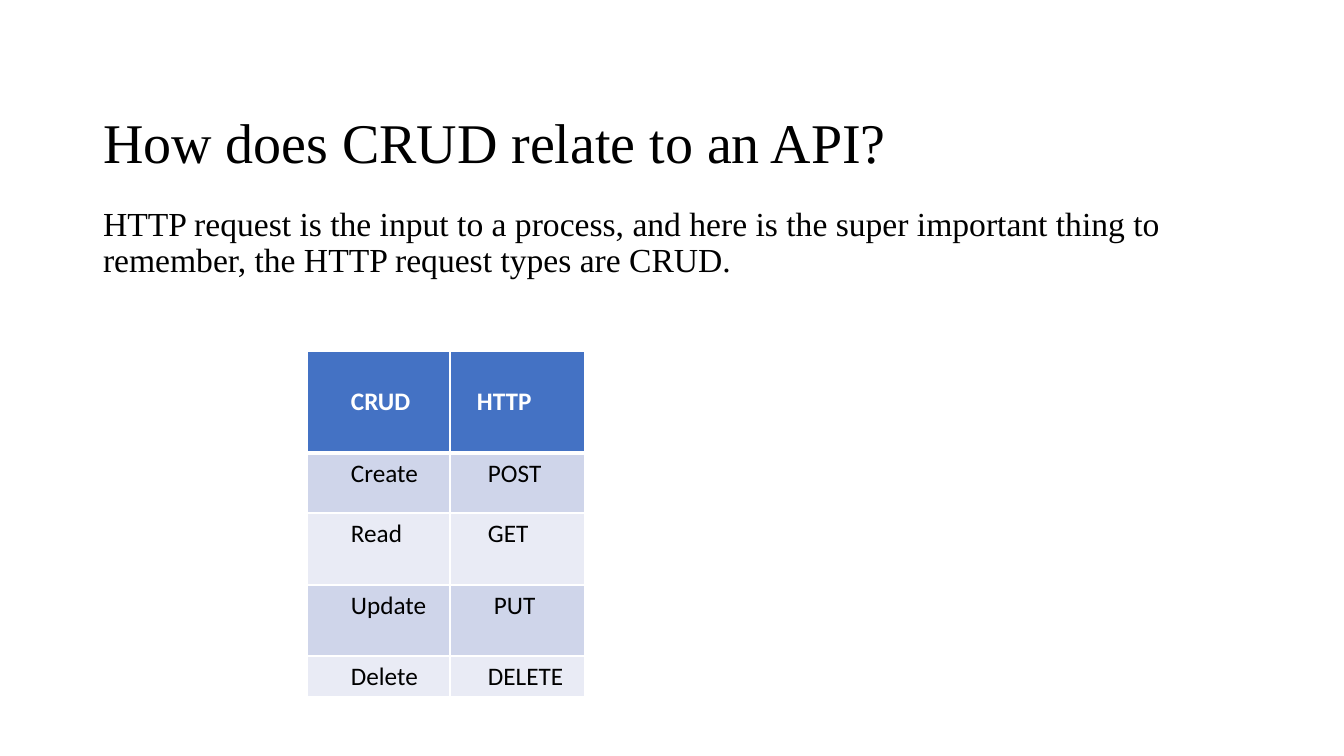
from dataclasses import dataclass

from lxml.etree import SubElement
from pptx import Presentation
from pptx.dml.color import RGBColor
from pptx.enum.text import MSO_ANCHOR as Anchor, MSO_AUTO_SIZE as AutoSize, PP_ALIGN as Align
from pptx.oxml.ns import qn
from pptx.util import Emu, Pt

EMU_PER_PX = 914400 / 100.8
COLORS = {
    "text": "000000",
    "white": "FFFFFF",
    "header": "4472C4",
    "band_dark": "CFD5EA",
    "band_light": "E9EBF5",
}
COLUMN_WIDTHS = (143, 135)


@dataclass(frozen=True)
class MethodRow:
    """One row that pairs a CRUD operation with its HTTP method."""
    operation: str
    method: str
    height: int
    method_indent: int = 38
    is_header: bool = False


METHOD_ROWS = (
    MethodRow("CRUD", "HTTP", 102, method_indent=27, is_header=True),
    MethodRow("Create", "POST", 60),
    MethodRow("Read", "GET", 72),
    MethodRow("Update", "PUT", 71, method_indent=44),
    MethodRow("Delete", "DELETE", 41),
)
OPERATION_INDENT = 44


def px(length: float) -> Emu:
    """Turn pixels into EMU."""
    return Emu(round(length * EMU_PER_PX))


def color(key: str) -> RGBColor:
    """Look up a named colour."""
    return RGBColor.from_string(COLORS[key])


def write(frame, text: str, *, size: float, font: str = "Calibri", fill: str = "text",
          bold: bool = False, line_spacing: float = 1.0, before: float = 0) -> None:
    """Write one left-aligned paragraph in the given format."""
    frame.text = text
    paragraph = frame.paragraphs[0]
    paragraph.alignment = Align.LEFT
    paragraph.line_spacing = line_spacing
    paragraph.space_before = Pt(before)
    run_font = paragraph.runs[0].font
    run_font.name, run_font.size, run_font.bold = font, Pt(size), bold
    run_font.color.rgb = color(fill)


def place(placeholder, left: int, top: int, width: int, height: int, anchor: Anchor) -> None:
    """Move a placeholder and fix its text anchor."""
    placeholder.left, placeholder.top = px(left), px(top)
    placeholder.width, placeholder.height = px(width), px(height)
    frame = placeholder.text_frame
    frame.word_wrap, frame.auto_size = True, AutoSize.NONE
    frame.vertical_anchor = anchor


def remove_bullet(paragraph) -> None:
    """Drop the bullet and hanging indent of a paragraph."""
    properties = paragraph._p.get_or_add_pPr()
    properties.set("marL", "0")
    properties.set("indent", "0")
    SubElement(properties, qn("a:buNone"))


def add_borders(cell, widths: dict[str, float]) -> None:
    """Give a cell white borders, in points by side."""
    properties = cell._tc.get_or_add_tcPr()
    for side, width in widths.items():
        line = SubElement(properties, qn(f"a:ln{side}"), w=str(Pt(width)))
        line_fill = SubElement(line, qn("a:solidFill"))
        SubElement(line_fill, qn("a:srgbClr"), val=COLORS["white"])


def fill_row(table, index: int, row: MethodRow) -> None:
    """Write and format one row of the table."""
    table.rows[index].height = px(row.height)
    band = "header" if row.is_header else ("band_dark" if index % 2 else "band_light")
    borders = {"L": 1, "R": 1, "T": 3 if index == 1 else 1, "B": 3 if row.is_header else 1}
    entries = ((row.operation, OPERATION_INDENT), (row.method, row.method_indent))
    for column, (text, indent) in enumerate(entries):
        cell = table.cell(index, column)
        add_borders(cell, borders)
        cell.fill.solid()
        cell.fill.fore_color.rgb = color(band)
        cell.margin_left = px(indent)
        cell.vertical_anchor = Anchor.MIDDLE if row.is_header else Anchor.TOP
        write(cell.text_frame, text, size=18, bold=row.is_header,
              fill="white" if row.is_header else "text")


def add_method_table(slide, left: int, top: int) -> None:
    """Add the table of CRUD operations and HTTP methods."""
    height = sum(row.height for row in METHOD_ROWS)
    table = slide.shapes.add_table(len(METHOD_ROWS), len(COLUMN_WIDTHS), px(left), px(top),
                                   px(sum(COLUMN_WIDTHS)), px(height)).table
    for column, width in zip(table.columns, COLUMN_WIDTHS):
        column.width = px(width)
    for index, row in enumerate(METHOD_ROWS):
        fill_row(table, index, row)


def main() -> None:
    """Build and save the slide."""
    deck = Presentation()
    deck.slide_width, deck.slide_height = px(1344), px(756)
    slide = deck.slides.add_slide(deck.slide_layouts[1])

    title, explanation = slide.placeholders
    place(title, 93, 103, 1159, 84, Anchor.MIDDLE)
    write(title.text_frame, "How does CRUD relate to an API?",
          size=40, font="Times New Roman", line_spacing=0.9)

    place(explanation, 93, 202, 1159, 480, Anchor.TOP)
    write(explanation.text_frame,
          "HTTP request is the input to a process, and here is the super important thing "
          "to remember, the HTTP request types are CRUD.",
          size=24, font="Times New Roman", line_spacing=0.9, before=10)
    remove_bullet(explanation.text_frame.paragraphs[0])

    add_method_table(slide, 307, 351)
    deck.save("out.pptx")


main()
